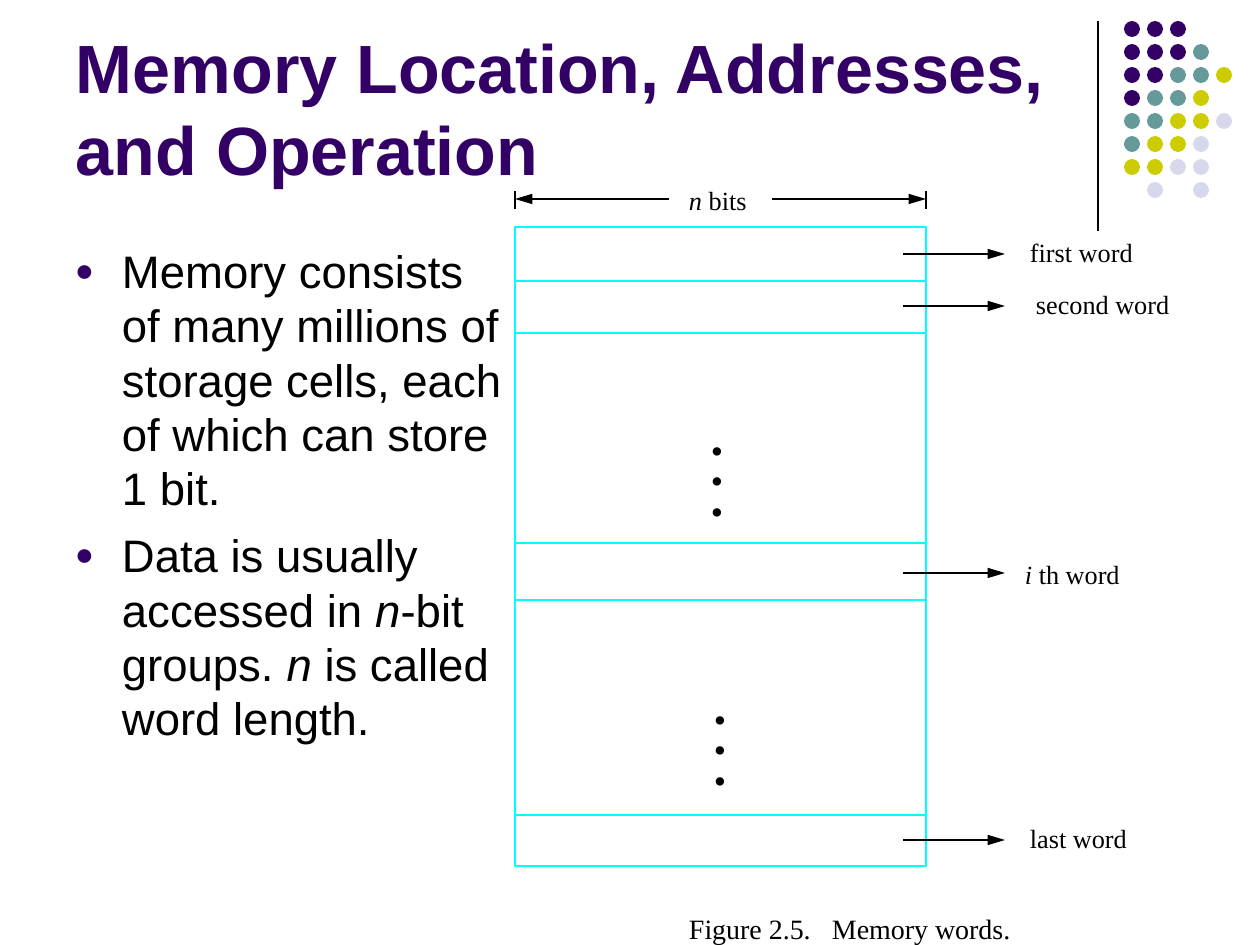
import pptx
import pptx.dml.color
import pptx.enum.shapes
import pptx.enum.text
import pptx.oxml.ns
import pptx.util
from lxml import etree

PX = 7257  # EMU in one px, 126 px to the inch
INK, CYAN, PURPLE = "000000", "00FFFF", "330066"
DOT_COLORS = {"P": PURPLE, "T": "669999", "Y": "CCCC00", "L": "D8D8EC"}
DOT_ROWS = ["PPP", "PPPT", "PPTTY", "PTTY", "TTYYL", "TYYL", "YYLL", " L L"]
SANS, SERIF = "Arial", "Times New Roman"


def px(n):
    return pptx.util.Emu(n * PX)


def rgb(hex_color):
    return pptx.dml.color.RGBColor.from_string(hex_color)


def sub(parent, tag, **attrs):
    """Append a DrawingML element to parent."""
    return etree.SubElement(parent, pptx.oxml.ns.qn(tag), **attrs)


def line(s, x1, y1, x2, y2, color=INK, width=1.62, arrow=False):
    c = s.shapes.add_connector(pptx.enum.shapes.MSO_CONNECTOR.STRAIGHT,
                               px(x1), px(y1), px(x2), px(y2))
    c.line.color.rgb = rgb(color)
    c.line.width = pptx.util.Pt(width)
    if arrow:
        sub(c.line._get_or_add_ln(), "a:tailEnd", type="triangle", w="med", len="lg")
    sub(c._element.spPr, "a:effectLst")


def text_box(s, x, y, w, h, inset=(0, 0), wrap=False):
    tf = s.shapes.add_textbox(px(x), px(y), px(w), px(h)).text_frame
    tf.word_wrap = wrap
    tf.margin_left = tf.margin_right = px(inset[0])
    tf.margin_top = tf.margin_bottom = px(inset[1])
    return tf


def write(p, text, font, size, color=INK, bold=False):
    """Fill a paragraph; parts between asterisks are italic."""
    p.font.name, p.font.size, p.font.bold = font, pptx.util.Pt(size), bold
    p.font.color.rgb = rgb(color)
    for i, part in enumerate(text.split("*")):
        if part:
            r = p.add_run()
            r.text = part
            if i % 2:
                r.font.italic = True


def label(s, x, y, w, text, size=15, tab=None):
    p = text_box(s, x, y, w, 31).paragraphs[0]
    if tab:
        tabs = sub(p._p.get_or_add_pPr(), "a:tabLst")
        sub(tabs, "a:tab", pos=str(px(tab)), algn="l")
    write(p, text, SERIF, size)


def dot_ornament(s, x, y):
    line(s, x, y, x, y + 210, width=0.75)
    for row, codes in enumerate(DOT_ROWS):
        for col, code in enumerate(codes):
            if code == " ":
                continue
            sp = s.shapes.add_shape(pptx.enum.shapes.MSO_SHAPE.OVAL,
                                    px(x + 26 + 23 * col), px(y + 23 * row), px(16), px(16))
            sp.shadow.inherit = False
            sp.fill.solid()
            sp.fill.fore_color.rgb = rgb(DOT_COLORS[code])
            sp.line.fill.background()


def title(s, x, y, w, h, text):
    tf = text_box(s, x, y, w, h, (13, 6), True)
    tf.vertical_anchor = pptx.enum.text.MSO_ANCHOR.BOTTOM
    p = tf.paragraphs[0]
    p.line_spacing = pptx.util.Pt(46.9)
    write(p, text, SANS, 39, PURPLE, True)


def bullet_list(s, x, y, w, h, items):
    tf = text_box(s, x, y, w, h, (12, 6), True)
    for i, text in enumerate(items):
        p = tf.paragraphs[0] if i == 0 else tf.add_paragraph()
        p.line_spacing = pptx.util.Pt(31.1)
        if i:
            p.space_before = pptx.util.Pt(7)
        pPr = p._p.get_or_add_pPr()
        pPr.set("marL", str(px(47)))
        pPr.set("indent", str(px(-47)))
        sub(sub(pPr, "a:buClr"), "a:srgbClr", val=PURPLE)
        sub(pPr, "a:buSzPct", val="70000")
        sub(pPr, "a:buFont", typeface=SANS)
        sub(pPr, "a:buChar", char="●")
        write(p, text, SANS, 26)


def vertical_dots(s, x, y):
    tf = text_box(s, x, y, 20, 91)
    for i in range(3):
        p = tf.paragraphs[0] if i == 0 else tf.add_paragraph()
        p.alignment = pptx.enum.text.PP_ALIGN.CENTER
        p.line_spacing = pptx.util.Pt(17.4)
        write(p, "•", SERIF, 20)


def memory_figure(s, x, y, w, h):
    """Memory block in the given box, with its width marker, word labels and caption."""
    for edge, inner in ((x, x + 154), (x + w, x + w - 154)):
        line(s, inner, y - 28, edge, y - 28, arrow=True)
        line(s, edge, y - 36, edge, y - 18)
    label(s, x + 174, y - 43, 80, "*n* bits")

    sp = s.shapes.add_shape(pptx.enum.shapes.MSO_SHAPE.RECTANGLE, px(x), px(y), px(w), px(h))
    sp.shadow.inherit = False
    sp.fill.background()
    sp.line.color.rgb = rgb(CYAN)
    sp.line.width = pptx.util.Pt(1.62)
    for dy in (54, 106, 316, 373, 588):
        line(s, x, y + dy, x + w, y + dy, CYAN)

    for dy, dx, text_dy, text in ((27, 515, 9, "first word"), (79, 521, 61, "second word"),
                                  (346, 510, 331, "*i* th word"), (613, 515, 595, "last word")):
        line(s, x + w - 23, y + dy, x + w + 79, y + dy, arrow=True)
        label(s, x + dx, y + text_dy, 160, text)

    vertical_dots(s, x + 192, y + 213)
    vertical_dots(s, x + 195, y + 482)
    label(s, x + 174, y + 685, 400, "Figure 2.5.\tMemory words.", 16, tab=143)


def main():
    prs = pptx.Presentation()
    prs.slide_width, prs.slide_height = px(1260), px(945)
    s = prs.slides.add_slide(prs.slide_layouts[6])
    dot_ornament(s, 1098, 21)
    title(s, 63, 16, 1040, 179, "Memory Location, Addresses, and Operation")
    bullet_list(s, 63, 237, 452, 607, [
        "Memory consists of many millions of storage cells, each of which can store 1 bit.",
        "Data is usually accessed in *n*-bit groups. *n* is called word length.",
    ])
    memory_figure(s, 515, 227, 411, 639)
    prs.save("out.pptx")


if __name__ == "__main__":
    main()
